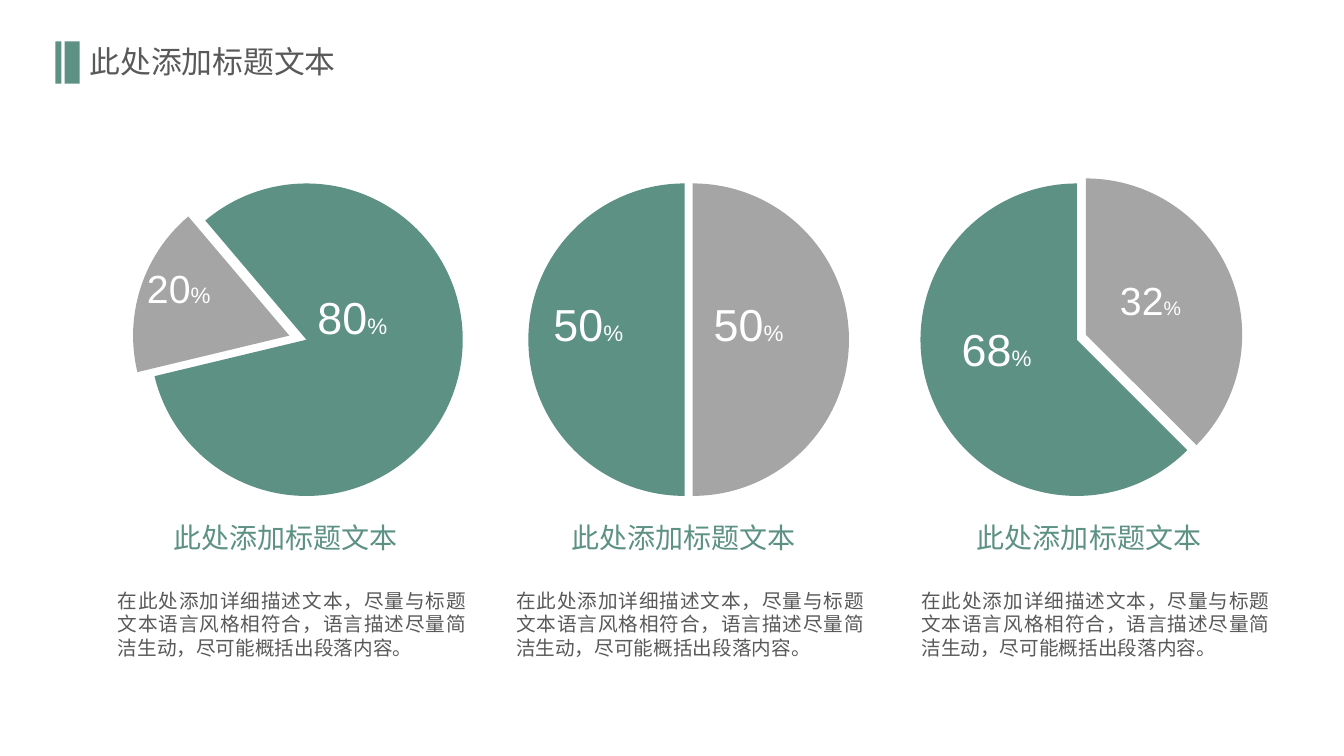
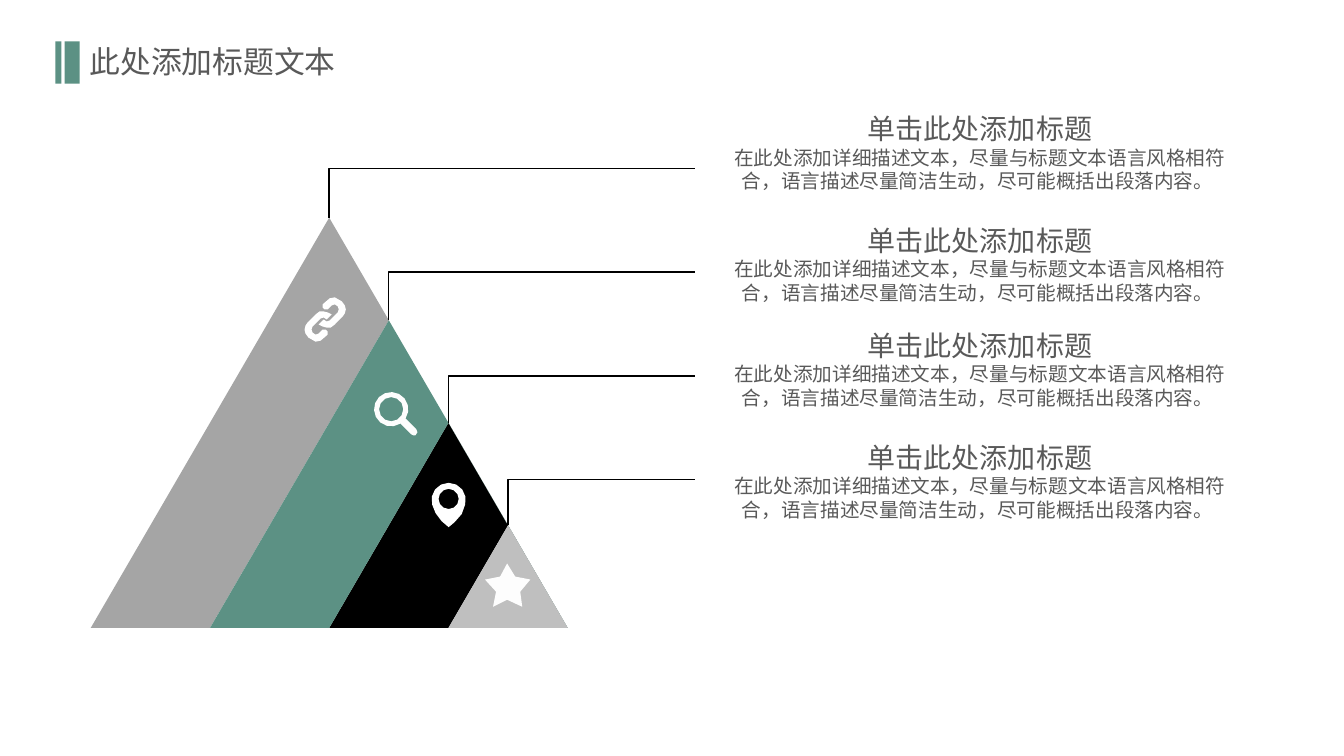
from math import ceil, cos, radians, sin, tan

from lxml import etree
from pptx import Presentation
from pptx.dml.color import RGBColor
from pptx.enum.shapes import MSO_CONNECTOR, MSO_SHAPE
from pptx.enum.text import MSO_AUTO_SIZE, PP_ALIGN
from pptx.oxml.ns import qn
from pptx.util import Inches, Pt

RECT, PEAK = MSO_SHAPE.RECTANGLE, MSO_SHAPE.ISOSCELES_TRIANGLE
ELBOW = MSO_CONNECTOR.ELBOW
LEFT, MID, JUST = PP_ALIGN.LEFT, PP_ALIGN.CENTER, PP_ALIGN.JUSTIFY
GROW = MSO_AUTO_SIZE.SHAPE_TO_FIT_TEXT

GREEN, GREY, PALE = "5C9184", "A5A5A5", "BFBFBF"
INK, BLACK, WHITE, SNOW = "595959", "000000", "FFFFFF", "FDFDFD"
HAN, LATIN = "Noto Sans CJK JP", "Arial"
TITLE = "此处添加标题文本"
HEAD = "单击此处添加标题"
BODY = "在此处添加详细描述文本，尽量与标题文本语言风格相符合，语言描述尽量简洁生动，尽可能概括出段落内容。"
RADIUS = 1.55

PIES = [
    (1.07, [(1.8, 3.33, 166.5, 229.7, GREY), (1.97, 3.37, 229.7, 526.5, GREEN)],
     [(0.29, 2.57, 0.84, 0.57, "20", 28, 16), (1.98, 2.83, 0.9, 0.64, "80", 32, 16)]),
    (5.02, [(1.77, 3.37, 90, 270, GREEN), (1.85, 3.37, -90, 90, GREY)],
     [(0.37, 2.89, 1.31, 0.94, "50", 32, 16), (1.96, 2.89, 1.31, 0.94, "50", 32, 16)]),
    (9.04, [(1.73, 3.32, -90, 45, GREY), (1.64, 3.37, 45, 270, GREEN)],
     [(0.4, 3.14, 0.9, 0.64, "68", 32, 16), (1.97, 2.69, 0.82, 0.57, "32", 28, 14)]),
]

CHAIN = [(0.19, 0.14), (0.23, 0.15), (0.27, 0.17), (0.22, 0.22), (0.19, 0.2),
         (0.16, 0.21), (0.08, 0.29), (0.07, 0.32), (0.08, 0.35), (0.11, 0.37),
         (0.14, 0.36), (0.18, 0.32), (0.21, 0.32), (0.23, 0.34), (0.23, 0.37),
         (0.16, 0.43), (0.11, 0.44), (0.04, 0.4), (0.01, 0.36), (0, 0.32),
         (0.01, 0.28), (0.03, 0.25), (0.11, 0.17), (0.15, 0.14)]
GRIP = [(0.42, 0.37), (0.43, 0.4), (0.41, 0.43), (0.39, 0.43), (0.37, 0.42)]
TIP = [(0.3, 0.31), (0.23, 0.39), (0.17, 0.44), (0.1, 0.38), (0.04, 0.3)]
STAR = [(0.22, 0), (0.3, 0.13), (0.45, 0.16), (0.35, 0.28), (0.37, 0.43),
        (0.22, 0.36), (0.08, 0.43), (0.11, 0.28), (0, 0.16), (0.15, 0.13)]


def rgb(code):
    """Turn a hex string into a colour."""
    return RGBColor.from_string(code)


def paint(shape, fill):
    """Give a shape a flat fill with no line or shadow."""
    shape.shadow.inherit = False
    shape.fill.solid()
    shape.fill.fore_color.rgb = rgb(fill)
    shape.line.fill.background()
    return shape


def block(shapes, kind, x, y, w, h, fill):
    """Add a flat preset shape."""
    box = [Inches(v) for v in (x, y, w, h)]
    return paint(shapes.add_shape(kind, *box), fill)


def outline(shapes, x, y, loops, fill):
    """Add a shape from closed loops of points relative to x and y."""
    loops = [[(Inches(x + dx), Inches(y + dy)) for dx, dy in loop] for loop in loops]
    pen = shapes.build_freeform(*loops[0][0], scale=1.0)
    for i, loop in enumerate(loops):
        if i:
            pen.move_to(*loop[0])
        pen.add_line_segments(loop[1:], close=True)
    return paint(pen.convert_to_shape(), fill)


def write(shapes, x, y, w, h, runs, font=HAN, color=INK, align=LEFT, wrap=True):
    """Add a text box of (text, size) runs; a closing newline breaks the line."""
    box = shapes.add_textbox(*[Inches(v) for v in (x, y, w, h)])
    frame = box.text_frame
    frame.word_wrap = wrap
    frame.auto_size = GROW
    para = frame.paragraphs[0]
    para.alignment = align
    for text, size in runs:
        run = para.add_run()
        run.text = text.rstrip("\n")
        run.font.size = Pt(size)
        run.font.color.rgb = rgb(color)
        run.font.name = font
        etree.SubElement(run.font._element, qn("a:ea"), typeface=font)
        if text.endswith("\n"):
            para.add_line_break()


def begin(deck):
    """Add a blank slide with the shared title band."""
    shapes = deck.slides.add_slide(deck.slide_layouts[6]).shapes
    for x, w in ((0.55, 0.06), (0.64, 0.15)):
        block(shapes, RECT, x, 0.41, w, 0.42, GREEN)
    write(shapes, 0.79, 0.37, 2.67, 0.47, [(TITLE, 22)], wrap=False)
    return shapes


def arc(x, y, size, start, end, count):
    """List points along an arc, clockwise."""
    turns = [radians(start + (end - start) * i / count) for i in range(count + 1)]
    return [(x + size * cos(a), y + size * sin(a)) for a in turns]


def wedge(shapes, x, y, start, end, fill):
    """Draw a pie slice with curves of at most a quarter turn."""
    count = ceil((end - start) / 90)
    rim = arc(0, 0, RADIUS, start, end, count)
    pull = 4 / 3 * tan(radians((end - start) / count) / 4)
    points = [(0, 0), rim[0]]
    for (ax, ay), (bx, by) in zip(rim, rim[1:]):
        points += [(ax - pull * ay, ay + pull * ax), (bx + pull * by, by - pull * bx), (bx, by)]
    shape = outline(shapes, x, y, [points], fill)
    steps = list(shape._element.iter(qn("a:lnTo")))
    for i in range(1, len(steps) - 2, 3):
        curve = etree.Element(qn("a:cubicBezTo"))
        steps[i].addprevious(curve)
        for step in steps[i:i + 3]:
            curve.append(step[0])
            step.getparent().remove(step)


def column(shapes, left, parts, tags):
    """Place a pie with its labels, heading and text."""
    pie = shapes.add_group_shape().shapes
    for x, y, start, end, fill in parts:
        wedge(pie, left + x, y, start, end, fill)
    for x, y, w, h, value, big, small in tags:
        write(pie, left + x, y, w, h, [(value, big), ("%", small)],
              font=LATIN, color=WHITE, wrap=False)
    write(shapes, left, 5.79, 3.65, 0.81, [(BODY, 14)], align=JUST)
    write(shapes, left + 0.55, 5.11, 2.51, 0.44, [(TITLE, 20)], color=GREEN)


def icons(shapes, x, y):
    """Draw the lens, chain, pin and star on the bands."""
    twin = [(0.41 - dx, 0.44 - dy) for dx, dy in CHAIN]
    lens = [arc(0.17, 0.17, 0.17, 57, 393, 14) + GRIP, arc(0.17, 0.17, 0.12, 0, 330, 11)]
    pin = [arc(0.17, 0.17, 0.17, 165, 375, 8) + TIP, arc(0.17, 0.16, 0.1, 0, 330, 11)]
    outline(shapes, x + 2.81, y + 1.73, lens, SNOW)
    outline(shapes, x + 2.12, y + 0.79, [CHAIN, twin], WHITE)
    outline(shapes, x + 3.38, y + 2.63, pin, WHITE)
    outline(shapes, x + 3.91, y + 3.43, [STAR], SNOW)


def elbow(shapes, x, y, right, top):
    """Lead a line up from a point and then to the right."""
    midx, midy = (x + right) / 2, (y + top) / 2
    halfw, halfh = (y - top) / 2, (right - x) / 2
    ends = (midx + halfw, midy + halfh, midx - halfw, midy - halfh)
    line = shapes.add_connector(ELBOW, *[Inches(v) for v in ends])
    line.line.color.rgb = rgb(BLACK)
    line.line.width = Pt(1)
    props = line._element.spPr
    etree.SubElement(props, qn("a:effectLst"))
    props.find(qn("a:xfrm")).set("rot", "5400000")
    props.find(qn("a:prstGeom")).set("prst", "bentConnector2")


def pyramid(shapes, x, y, w, h):
    """Split a triangle into four slanted bands with lead lines and icons."""
    edge = [(w / 2 + w / 8 * i, h / 4 * i) for i in range(5)]
    base = [(w / 4 * i, h) for i in range(5)]
    for i, fill, tail in ((2, BLACK, edge[4:]), (0, GREY, []), (1, GREEN, edge[4:])):
        loop = [edge[i], *tail, edge[i + 1], base[i + 1], base[i]]
        outline(shapes, x, y, [loop], fill)
    block(shapes, PEAK, x + base[3][0], y + edge[3][1], w / 4, h / 4, PALE)
    for i in range(4):
        elbow(shapes, x + edge[i][0], y + edge[i][1], x + 5.99, y - 0.49 + 1.03 * i)
    icons(shapes, x, y)


def notes(shapes, x, tops):
    """Stack the headed texts beside the lead lines."""
    for top in tops:
        write(shapes, x, top, 5.26, 0.91, [(HEAD + "\n", 20), (BODY + " ", 14)], align=MID)


def main():
    """Build and save the deck."""
    deck = Presentation()
    deck.slide_width, deck.slide_height = Inches(13.33), Inches(7.5)
    shapes = begin(deck)
    for pie in PIES:
        column(shapes, *pie)
    shapes = begin(deck)
    pyramid(shapes, 0.9, 2.16, 4.73, 4.07)
    notes(shapes, 7.09, (1.06, 2.17, 3.21, 4.32))
    deck.save("out.pptx")


if __name__ == "__main__":
    main()
